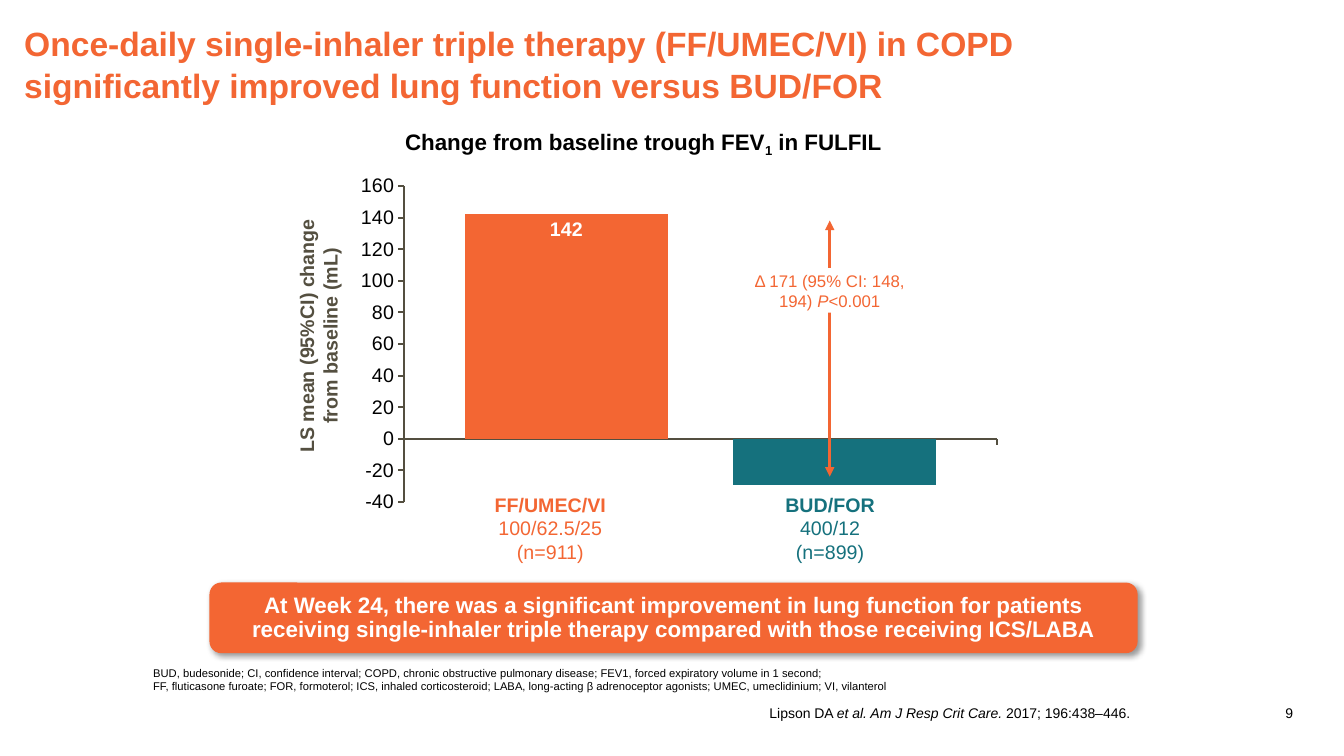
import pptx
import pptx.chart.data
import pptx.dml.color
import pptx.enum.chart
import pptx.enum.shapes
import pptx.enum.text
import pptx.oxml
import pptx.oxml.ns
import pptx.util

Cm = pptx.util.Cm
Pt = pptx.util.Pt
Align = pptx.enum.text.PP_ALIGN
Anchor = pptx.enum.text.MSO_ANCHOR
ShapeType = pptx.enum.shapes.MSO_SHAPE

FONT = "Arial"
COLORS = {
    "orange": "F36633",
    "teal": "15717D",
    "olive": "544F40",
    "black": "000000",
    "white": "FFFFFF",
}


def rgb(color):
    return pptx.dml.color.RGBColor.from_string(COLORS[color])


def xml(markup):
    head, tail = markup.split(" ", 1)
    return pptx.oxml.parse_xml(f"{head} {pptx.oxml.ns.nsdecls('a', 'c')} {tail}")


def style_font(font, size, color, bold=False):
    font.name = FONT
    font.size = Pt(size)
    font.bold = bold
    font.color.rgb = rgb(color)


def write(shape, paragraphs, size, color, align=Align.LEFT, anchor=Anchor.TOP,
          insets=(0, 0, 0, 0), spacing=1.0):
    frame = shape.text_frame
    frame.word_wrap = True
    frame.auto_size = pptx.enum.text.MSO_AUTO_SIZE.NONE
    frame.vertical_anchor = anchor
    frame.margin_left, frame.margin_top, frame.margin_right, frame.margin_bottom = map(Cm, insets)
    for index, runs in enumerate(paragraphs):
        paragraph = frame.add_paragraph() if index else frame.paragraphs[0]
        paragraph.alignment = align
        paragraph.line_spacing = spacing
        for text, style in runs:
            for number, line in enumerate(text.split("\n")):
                if number:
                    paragraph.add_line_break()
                run = paragraph.add_run()
                run.text = line
                style_font(run.font, size, color, "b" in style)
                run.font.italic = "i" in style
                if "_" in style:
                    run.font._element.set("baseline", "-25000")


def add_text(slide, box, paragraphs, size, color, **options):
    shape = slide.shapes.add_textbox(*map(Cm, box))
    write(shape, paragraphs, size, color, **options)
    return shape


def add_block(slide, kind, box, fill):
    shape = slide.shapes.add_shape(kind, *map(Cm, box))
    shape.shadow.inherit = False
    shape.fill.solid()
    shape.fill.fore_color.rgb = rgb(fill)
    shape.line.fill.background()
    return shape


def add_header(slide, left, top, width, height):
    title = slide.shapes.title
    title.left, title.top, title.width, title.height = map(Cm, (left, top, width, height))
    write(title, [[("Once-daily single-inhaler triple therapy (FF/UMEC/VI) in COPD "
                    "significantly improved lung function versus BUD/FOR", "b")]],
          24, "orange", anchor=Anchor.BOTTOM, spacing=1.06)
    add_text(slide, (left + 9.6, top + 2.62, 21.11, 0.66),
             [[("Change from baseline trough FEV", "b"), ("1", "b_"), (" in FULFIL", "b")]],
             16, "black")


def style_axis(axis):
    axis.has_major_gridlines = False
    axis.major_tick_mark = pptx.enum.chart.XL_TICK_MARK.OUTSIDE
    axis.minor_tick_mark = pptx.enum.chart.XL_TICK_MARK.NONE
    axis.format.line.color.rgb = rgb("olive")
    axis.format.line.width = Pt(1.5)


def add_bar_chart(slide, left, top, width, height):
    data = pptx.chart.data.CategoryChartData()
    data.categories = ["1"]
    data.add_series("FF/UMEC/VI", [142])
    data.add_series("BUD/FOR", [-29])
    chart = slide.shapes.add_chart(pptx.enum.chart.XL_CHART_TYPE.COLUMN_CLUSTERED,
                                   *map(Cm, (left, top, width, height)), data).chart
    chart.has_legend = False
    chart.has_title = False
    style_font(chart.font, 12, "black")
    style_axis(chart.category_axis)
    chart.category_axis.tick_label_position = pptx.enum.chart.XL_TICK_LABEL_POSITION.NONE
    value_axis = chart.value_axis
    style_axis(value_axis)
    value_axis.minimum_scale, value_axis.maximum_scale, value_axis.major_unit = -40, 160, 20
    style_font(value_axis.tick_labels.font, 14, "black")
    plot = chart.plots[0]
    plot.gap_width, plot.overlap, plot.vary_by_categories = 60, -32, False
    for series, color in zip(plot.series, ("orange", "teal")):
        series.invert_if_negative = False
        series.format.fill.solid()
        series.format.fill.fore_color.rgb = rgb(color)
    labels = plot.series[0].data_labels
    labels.show_value = True
    labels.position = pptx.enum.chart.XL_LABEL_POSITION.INSIDE_END
    style_font(labels.font, 14, "white", True)
    area = chart._chartSpace.chart.plotArea
    for old in area.findall(pptx.oxml.ns.qn("c:layout")):
        area.remove(old)
    sizes = "".join(f'<c:{name} val="{value}"/>' for name, value in
                    (("x", 0.115), ("y", 0.066), ("w", 0.798), ("h", 0.774)))
    area.insert(0, xml('<c:layout ><c:manualLayout><c:layoutTarget val="inner"/>'
                       '<c:xMode val="edge"/><c:yMode val="edge"/>'
                       f'{sizes}</c:manualLayout></c:layout>'))


def add_difference(slide, left, top, width, height):
    middle = left + width / 2
    arrow = slide.shapes.add_connector(pptx.enum.shapes.MSO_CONNECTOR.STRAIGHT,
                                       *map(Cm, (middle, top, middle, top + height)))
    arrow.line.color.rgb = rgb("orange")
    arrow.line.width = Pt(2.25)
    for end in ("headEnd", "tailEnd"):
        arrow.line._get_or_add_ln().append(xml(f'<a:{end} type="triangle"/>'))
    arrow._element.spPr.append(xml("<a:effectLst />"))
    note = add_block(slide, ShapeType.RECTANGLE, (left, top + 1.2, width, 1.12), "white")
    write(note, [[("Δ 171 (95% CI: 148, 194) ", ""), ("P", "i"), ("<0.001", "")]],
          12, "orange", align=Align.CENTER, insets=(0, 0.05, 0, 0.05))


def add_results(slide, left, top, width, height):
    add_bar_chart(slide, left, top, width, height)
    arms = (
        (3.68, 4.32, "orange", ("FF/UMEC/VI", "100/62.5/25", "(n=911)")),
        (9.98, 5.82, "teal", ("BUD/FOR", "400/12", "(n=899)")),
    )
    for offset, label_width, color, (name, dose, count) in arms:
        add_text(slide, (left + offset, top + 8.41, label_width, 1.8),
                 [[(name, "b")], [(dose, "")], [(count, "")]],
                 14, color, align=Align.CENTER)
    axis_title = add_text(slide, (left - 4.01, top + 3.86, 8, 1.19),
                          [[("LS mean (95%CI) change\nfrom baseline (mL)", "b")]],
                          14, "olive", align=Align.CENTER)
    axis_title.rotation = 270
    add_difference(slide, left + 10.62, top + 1.55, 4.52, 6.45)


def add_conclusion(slide, left, top, width, height):
    banner = add_block(slide, ShapeType.ROUNDED_RECTANGLE, (left, top, width, height), "orange")
    effects = banner._element.spPr.find(pptx.oxml.ns.qn("a:effectLst"))
    effects.append(xml(f'<a:outerShdw blurRad="{Pt(4)}" dist="{Pt(3)}" dir="2700000" algn="tl" '
                       f'rotWithShape="0"><a:srgbClr val="{COLORS["black"]}">'
                       '<a:alpha val="40000"/></a:srgbClr></a:outerShdw>'))
    write(banner, [[("At Week 24, there was a significant improvement in lung function for patients "
                     "receiving single-inhaler triple therapy compared with those receiving ICS/LABA",
                     "b")]],
          16, "white", align=Align.CENTER, anchor=Anchor.MIDDLE, insets=(0.2,) * 4, spacing=0.9)


def add_footer(slide, left, top, width, height):
    padding = (0.25, 0.13, 0.25, 0.13)
    add_text(slide, (left, top, 28.9, 0.94),
             [[("BUD, budesonide; CI, confidence interval; COPD, chronic obstructive pulmonary disease; "
                "FEV1, forced expiratory volume in 1 second;\n"
                "FF, fluticasone furoate; FOR, formoterol; ICS, inhaled corticosteroid; LABA, long-acting "
                "β adrenoceptor agonists; UMEC, umeclidinium; VI, vilanterol", "")]],
             8, "black", insets=padding)
    add_text(slide, (left + 2.66, top + height - 1.37, 22.71, 1.37),
             [[("Lipson DA ", ""), ("et al. Am J Resp Crit Care. ", "i"), ("2017; 196:438–446.", "")]],
             10, "black", align=Align.RIGHT, anchor=Anchor.BOTTOM, insets=(0.5,) * 4, spacing=0.85)
    add_text(slide, (left + width - 1.5, top + 0.97, 1.5, 0.76), [[("9", "")]],
             10, "black", align=Align.RIGHT, insets=padding)


def main():
    presentation = pptx.Presentation()
    presentation.slide_width = Cm(33.87)
    presentation.slide_height = Cm(19.05)
    slide = presentation.slides.add_slide(presentation.slide_layouts[5])
    add_header(slide, 0.61, 0.6, 28.07, 2.06)
    add_results(slide, 8.03, 4.01, 18.72, 10.29)
    add_conclusion(slide, 5.28, 14.68, 23.39, 1.78)
    add_footer(slide, 3.61, 16.66, 29.23, 2.01)
    presentation.save("out.pptx")


if __name__ == "__main__":
    main()
